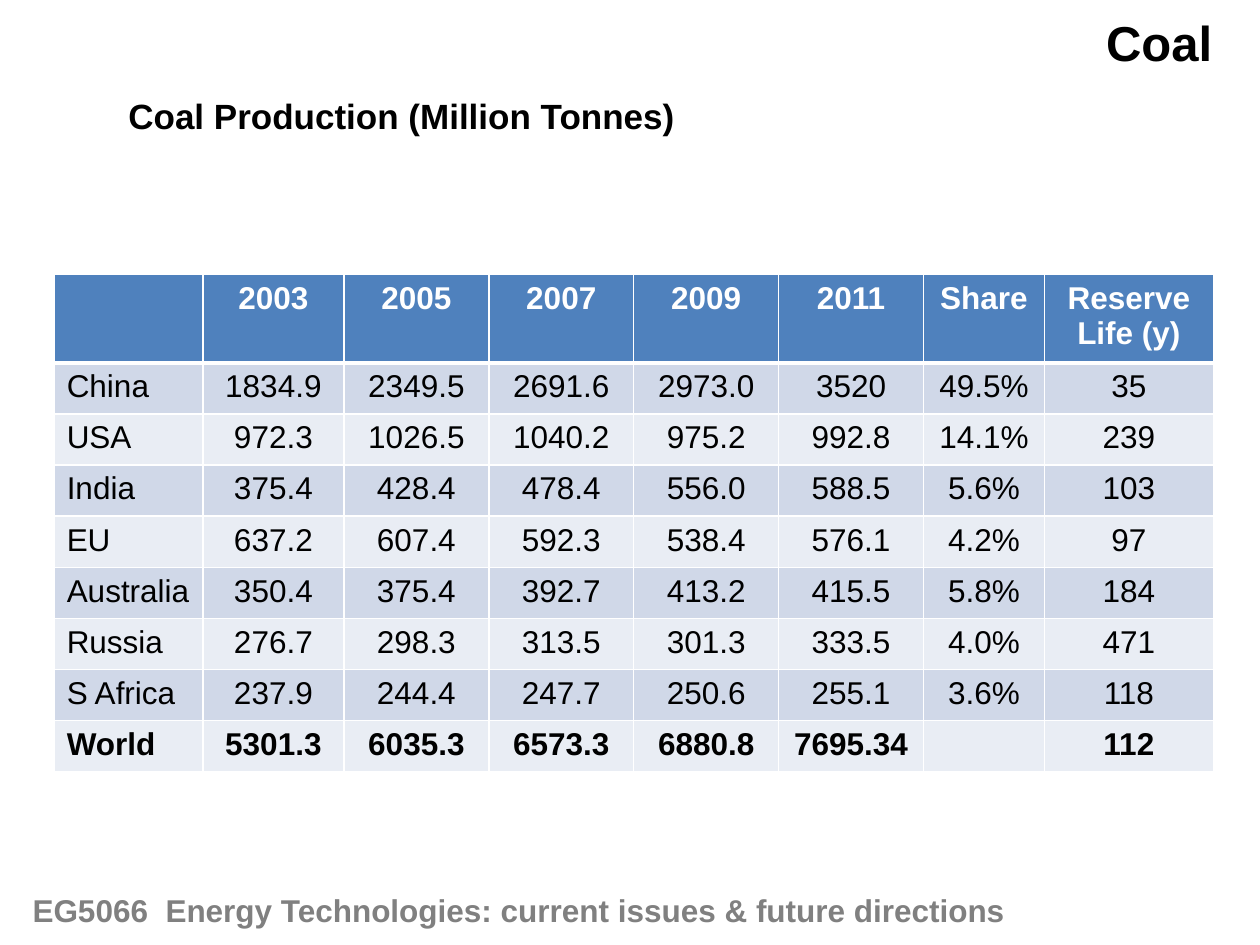
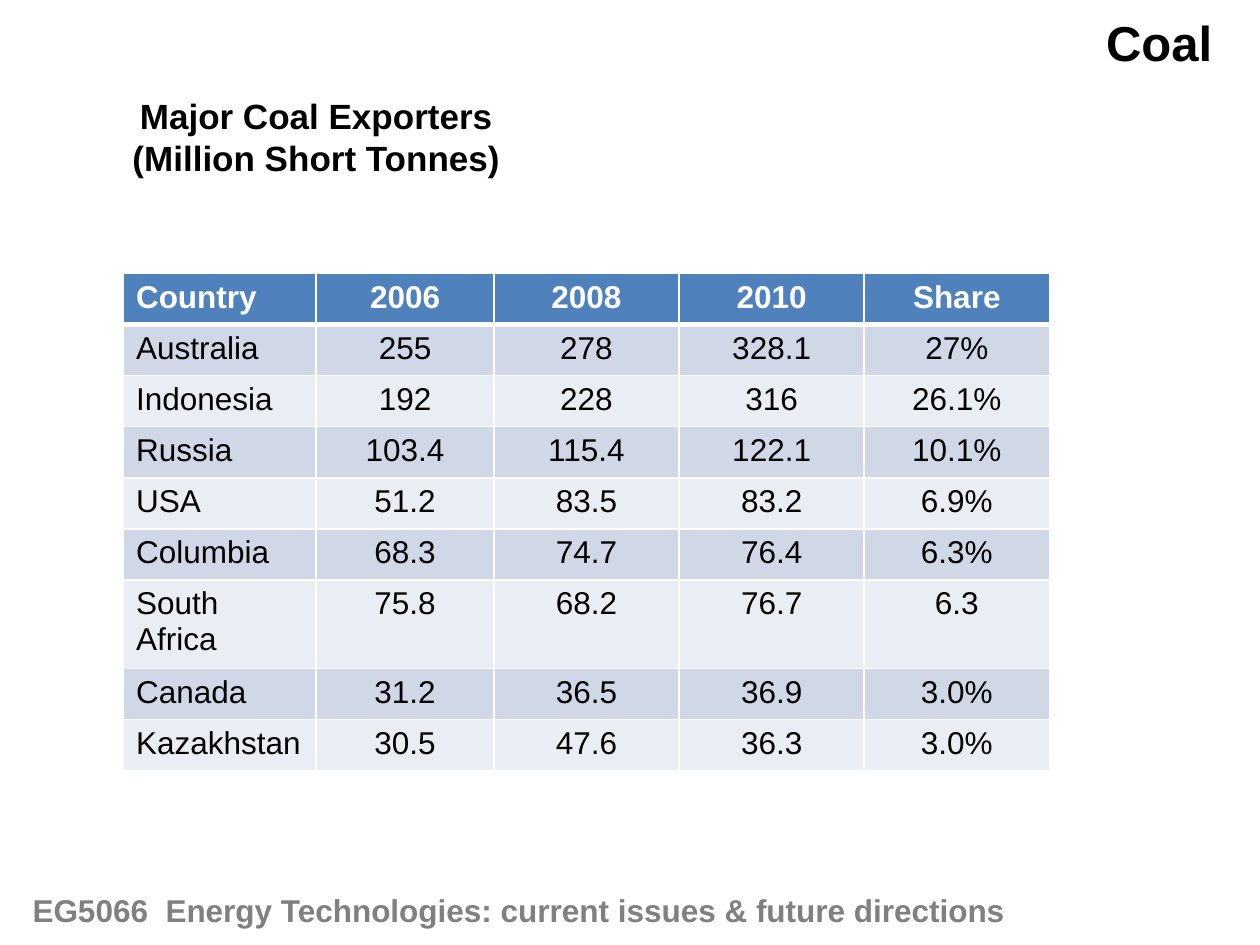
from lxml import etree
from pptx import Presentation
from pptx import util as u
from pptx.dml.color import RGBColor
from pptx.enum import text
from pptx.oxml.ns import qn

# Shared style
FONT = "Arial"
BLACK = RGBColor(0x00, 0x00, 0x00)
WHITE = RGBColor(0xFF, 0xFF, 0xFF)
GREY = RGBColor(0x80, 0x80, 0x80)
BLUE = RGBColor(0x4F, 0x81, 0xBD)
BANDS = (RGBColor(0xE9, 0xED, 0xF4), RGBColor(0xD0, 0xD8, 0xE8))
LEFT, MID, RIGHT = (text.PP_ALIGN.LEFT, text.PP_ALIGN.CENTER,
                    text.PP_ALIGN.RIGHT)
ROW = int(u.Inches(3.65) / 9)
FOOTER = "EG5066  Energy Technologies: current issues & future directions"

# Table contents
OUTPUT = [
    ["", "2003", "2005", "2007", "2009", "2011", "Share", "Reserve Life (y)"],
    ["China", "1834.9", "2349.5", "2691.6", "2973.0", "3520", "49.5%", "35"],
    ["USA", "972.3", "1026.5", "1040.2", "975.2", "992.8", "14.1%", "239"],
    ["India", "375.4", "428.4", "478.4", "556.0", "588.5", "5.6%", "103"],
    ["EU", "637.2", "607.4", "592.3", "538.4", "576.1", "4.2%", "97"],
    ["Australia", "350.4", "375.4", "392.7", "413.2", "415.5", "5.8%", "184"],
    ["Russia", "276.7", "298.3", "313.5", "301.3", "333.5", "4.0%", "471"],
    ["S Africa", "237.9", "244.4", "247.7", "250.6", "255.1", "3.6%", "118"],
    ["World", "5301.3", "6035.3", "6573.3", "6880.8", "7695.34", "", "112"],
]
EXPORTS = [
    ["Country", "2006", "2008", "2010", "Share"],
    ["Australia", "255", "278", "328.1", "27%"],
    ["Indonesia", "192", "228", "316", "26.1%"],
    ["Russia", "103.4", "115.4", "122.1", "10.1%"],
    ["USA", "51.2", "83.5", "83.2", "6.9%"],
    ["Columbia", "68.3", "74.7", "76.4", "6.3%"],
    ["South Africa", "75.8", "68.2", "76.7", "6.3"],
    ["Canada", "31.2", "36.5", "36.9", "3.0%"],
    ["Kazakhstan", "30.5", "47.6", "36.3", "3.0%"],
]


def add_run(para, words, size, color, bold=True, align=LEFT):
    para.alignment = align
    run = para.add_run()
    run.text = words
    font = run.font
    font.name, font.size, font.bold = FONT, u.Pt(size), bold
    font.color.rgb = color


def fill_box(box, lines, size, color=BLACK, align=LEFT, wrap=False):
    frame = box.text_frame
    frame.word_wrap = wrap
    frame.auto_size = text.MSO_AUTO_SIZE.SHAPE_TO_FIT_TEXT
    frame.vertical_anchor = text.MSO_ANCHOR.TOP
    for i, line in enumerate(lines):
        para = frame.add_paragraph() if i else frame.paragraphs[0]
        add_run(para, line, size, color, align=align)


def add_label(slide, place, lines, size, **style):
    box = slide.shapes.add_textbox(*map(u.Inches, place))
    fill_box(box, lines, size, **style)


def add_edges(cell, top, base):
    """White cell borders; top and base are widths in points."""
    props = cell._tc.get_or_add_tcPr()
    for side, width in (("L", 1), ("R", 1), ("T", top), ("B", base)):
        line = etree.SubElement(props, qn("a:ln" + side), w=str(u.Pt(width)))
        paint = etree.SubElement(line, qn("a:solidFill"))
        etree.SubElement(paint, qn("a:srgbClr"), val=str(WHITE))


def add_grid(slide, left, top, widths, rows):
    frame = slide.shapes.add_table(
        len(rows), len(widths), u.Inches(left), u.Inches(top),
        u.Inches(sum(widths)), ROW * len(rows))
    table = frame.table
    for col, width in zip(table.columns, widths):
        col.width = u.Inches(width)
    for r, row in enumerate(rows):
        table.rows[r].height = ROW
        head = r == 0
        for c, words in enumerate(row):
            cell = table.cell(r, c)
            add_edges(cell, 3 if r == 1 else 1, 3 if head else 1)
            cell.fill.solid()
            cell.fill.fore_color.rgb = BLUE if head else BANDS[r % 2]
            if words:
                add_run(cell.text_frame.paragraphs[0], words, 18,
                        WHITE if head else BLACK,
                        bold=head or row[0] == "World",
                        align=MID if c else LEFT)


def add_page(deck):
    """Slide with the shared title and footer."""
    slide = deck.slides.add_slide(deck.slide_layouts[5])
    title = slide.shapes.title
    title.left, title.top, title.width, title.height = map(
        u.Inches, (8.67, 0.05, 1.05, 0.57))
    fill_box(title, ["Coal"], 28, align=RIGHT)
    add_label(slide, (0.16, 7.02, 8.59, 0.4), [FOOTER], 18,
              color=GREY, wrap=True)
    return slide


def main():
    deck = Presentation()
    deck.slide_width, deck.slide_height = u.Inches(10), u.Inches(7.5)

    # Production
    slide = add_page(deck)
    add_label(slide, (0.92, 0.7, 4.55, 0.43),
              ["Coal Production (Million Tonnes)"], 20)
    add_grid(slide, 0.43, 2.18,
             [1.18, 1.12] + [1.15] * 4 + [0.96, 1.34], OUTPUT)

    # Exporters
    slide = add_page(deck)
    add_label(slide, (0.94, 0.7, 3.14, 0.77),
              ["Major Coal Exporters", "(Million Short Tonnes)"], 20,
              align=MID)
    add_grid(slide, 0.98, 2.17, [1.53, 1.41] + [1.47] * 3, EXPORTS)

    deck.save("out.pptx")


if __name__ == "__main__":
    main()
